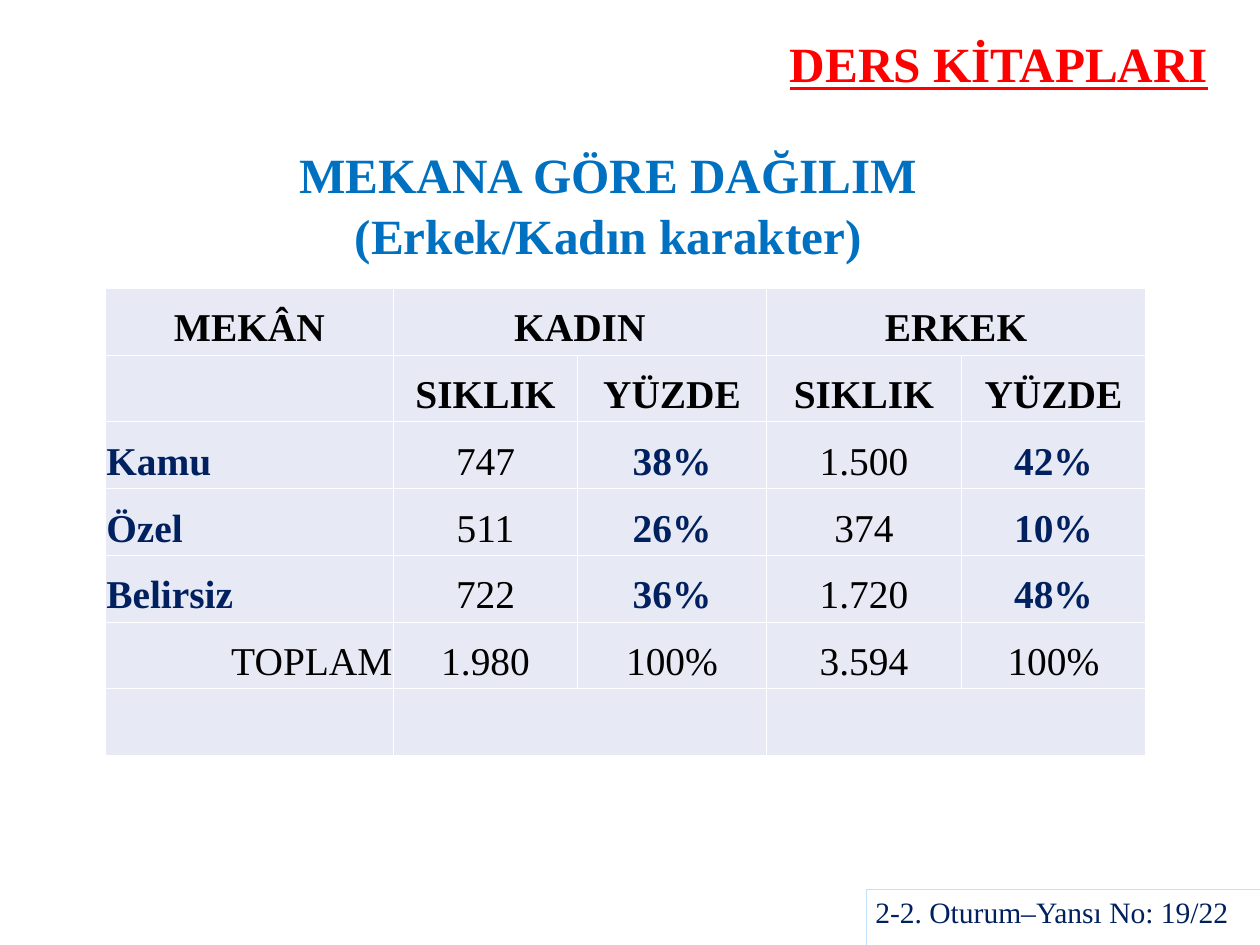
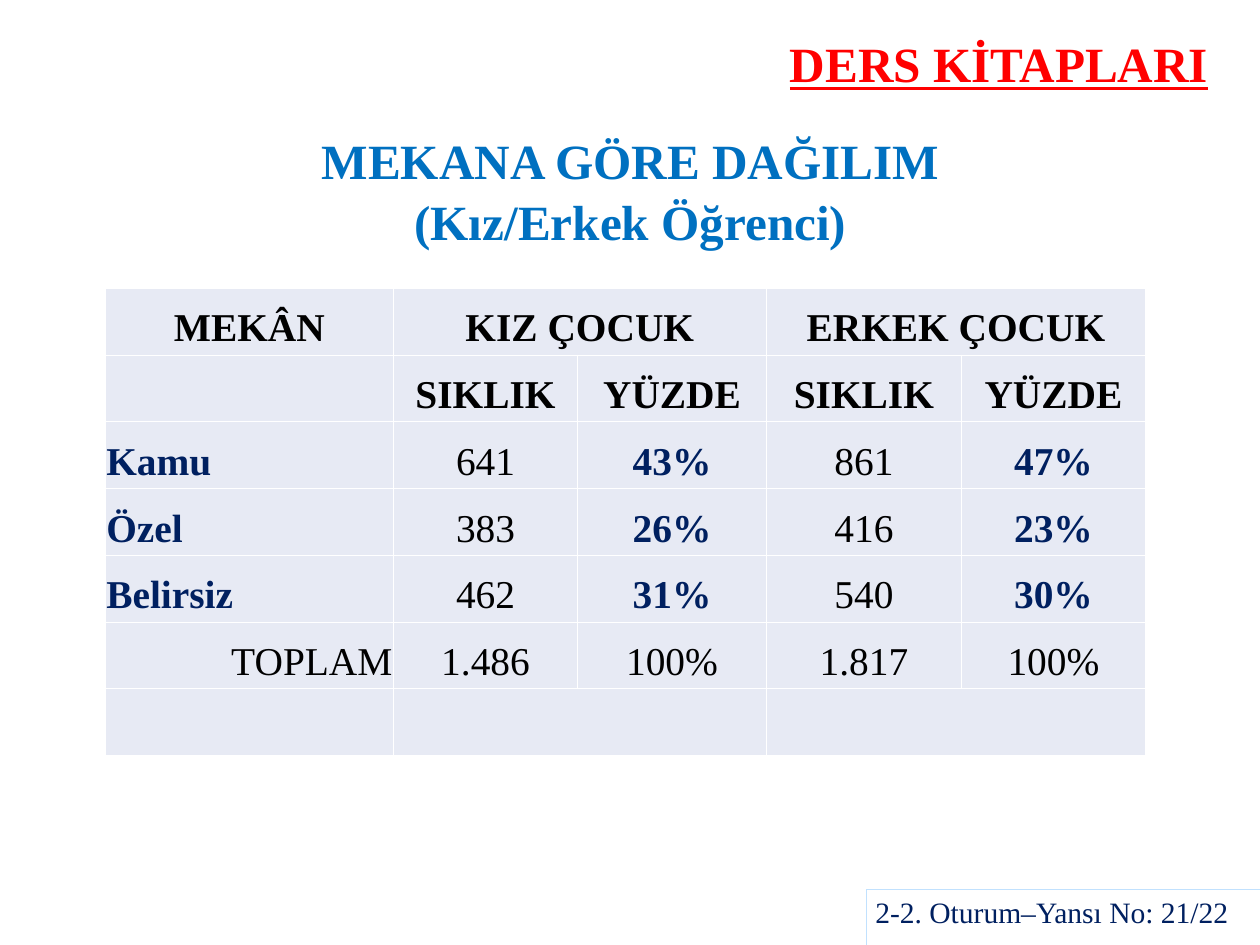
from dataclasses import dataclass

from lxml.etree import SubElement
from pptx import Presentation
from pptx.dml.color import RGBColor
from pptx.enum.shapes import MSO_SHAPE
from pptx.enum.text import MSO_ANCHOR, PP_ALIGN
from pptx.oxml.ns import qn
from pptx.slide import Slide
from pptx.table import _Cell
from pptx.text.text import TextFrame
from pptx.util import Inches, Pt

FONT = "Times New Roman"
BLACK, NAVY, RED, BLUE = "000000", "002060", "FF0000", "0070C0"
WHITE, CELL_FILL, FOOTER_LINE = "FFFFFF", "E7EAF4", "C1E1FE"
COLUMN_WIDTHS = (3.25, 2.08, 2.13, 2.2, 2.08)
TABLE_HEIGHT = 5.27
SUBHEADS = ("", "SIKLIK", "YÜZDE", "SIKLIK", "YÜZDE")


@dataclass(frozen=True)
class Box:
    left: float
    top: float
    width: float
    height: float

    def lengths(self) -> tuple[Inches, ...]:
        return tuple(Inches(v) for v in (self.left, self.top, self.width, self.height))


@dataclass(frozen=True)
class TextStyle:
    size: int
    color: str
    bold: bool = False
    underline: bool = False
    align: PP_ALIGN = PP_ALIGN.CENTER
    spacing: float = 1.0


@dataclass(frozen=True)
class Distribution:
    title: str
    title_box: Box
    groups: tuple[str, str]
    places: tuple[tuple[str, ...], ...]
    totals: tuple[str, ...]
    number: int


COURSE_STYLE = TextStyle(40, RED, bold=True, underline=True, spacing=1.04)
TITLE_STYLE = TextStyle(40, BLUE, bold=True, spacing=1.04)
FOOTER_STYLE = TextStyle(24, NAVY, align=PP_ALIGN.LEFT)
HEAD_STYLE = TextStyle(32, BLACK, bold=True)
PLACE_STYLE = TextStyle(32, NAVY, bold=True, align=PP_ALIGN.LEFT)
COUNT_STYLE = TextStyle(32, BLACK)
PERCENT_STYLE = TextStyle(32, NAVY, bold=True)
TOTAL_STYLE = TextStyle(32, BLACK, align=PP_ALIGN.RIGHT)

HEAD_ROW = (HEAD_STYLE,) * 5
PLACE_ROW = (PLACE_STYLE,) + (COUNT_STYLE, PERCENT_STYLE) * 2
TOTAL_ROW = (TOTAL_STYLE,) + (COUNT_STYLE,) * 4

DISTRIBUTIONS = (
    Distribution(
        "MEKANA GÖRE DAĞILIM (Erkek/Kadın karakter)",
        Box(3.28, 1.61, 7.17, 1.36),
        ("KADIN", "ERKEK"),
        (
            ("Kamu", "747", "38%", "1.500", "42%"),
            ("Özel", "511", "26%", "374", "10%"),
            ("Belirsiz", "722", "36%", "1.720", "48%"),
        ),
        ("TOPLAM", "1.980", "100%", "3.594", "100%"),
        19,
    ),
    Distribution(
        "MEKANA GÖRE DAĞILIM (Kız/Erkek Öğrenci)",
        Box(3.53, 1.59, 7.17, 1.09),
        ("KIZ ÇOCUK", "ERKEK ÇOCUK"),
        (
            ("Kamu", "641", "43%", "861", "47%"),
            ("Özel", "383", "26%", "416", "23%"),
            ("Belirsiz", "462", "31%", "540", "30%"),
        ),
        ("TOPLAM", "1.486", "100%", "1.817", "100%"),
        21,
    ),
)


def rgb(color: str) -> RGBColor:
    return RGBColor.from_string(color)


def write(frame: TextFrame, text: str, style: TextStyle) -> None:
    frame.word_wrap = True
    paragraph = frame.paragraphs[0]
    paragraph.text = text
    paragraph.alignment = style.align
    paragraph.line_spacing = style.spacing
    font = paragraph.font
    font.name = FONT
    font.size = Pt(style.size)
    font.bold = style.bold
    font.underline = style.underline
    font.color.rgb = rgb(style.color)


def add_heading(slide: Slide, text: str, box: Box, style: TextStyle) -> None:
    frame = slide.shapes.add_textbox(*box.lengths()).text_frame
    frame.margin_left = frame.margin_right = Inches(0)
    frame.margin_top = frame.margin_bottom = Inches(0)
    frame.vertical_anchor = MSO_ANCHOR.MIDDLE
    write(frame, text, style)


def add_footer(slide: Slide, number: int) -> None:
    footer = slide.shapes.add_shape(
        MSO_SHAPE.RECTANGLE, *Box(9.78, 10.03, 4.44, 0.9).lengths()
    )
    footer.shadow.inherit = False
    footer.fill.background()
    footer.line.color.rgb = rgb(FOOTER_LINE)
    footer.line.width = Pt(0.25)
    footer.text_frame.vertical_anchor = MSO_ANCHOR.TOP
    write(footer.text_frame, f"2-2. Oturum–Yansı No: {number}/22", FOOTER_STYLE)


def format_cell(cell: _Cell) -> None:
    properties = cell._tc.get_or_add_tcPr()
    for side in ("a:lnL", "a:lnR", "a:lnT", "a:lnB"):
        border = SubElement(properties, qn(side), w=str(Pt(0.45)))
        SubElement(SubElement(border, qn("a:solidFill")), qn("a:srgbClr"), val=WHITE)
    cell.fill.solid()
    cell.fill.fore_color.rgb = rgb(CELL_FILL)
    cell.margin_left = cell.margin_right = Inches(0.01)
    cell.margin_top = cell.margin_bottom = Inches(0.05)
    cell.vertical_anchor = MSO_ANCHOR.BOTTOM


def add_distribution_table(slide: Slide, distribution: Distribution) -> None:
    women, men = distribution.groups
    rows = (
        (("MEKÂN", women, "", men, ""), HEAD_ROW),
        (SUBHEADS, HEAD_ROW),
        *((place, PLACE_ROW) for place in distribution.places),
        (distribution.totals, TOTAL_ROW),
        (("",) * 5, TOTAL_ROW),
    )
    box = Box(1.19, 3.25, sum(COLUMN_WIDTHS), TABLE_HEIGHT)
    table = slide.shapes.add_table(len(rows), len(COLUMN_WIDTHS), *box.lengths()).table
    table.first_row = table.horz_banding = False
    for column, width in zip(table.columns, COLUMN_WIDTHS):
        column.width = Inches(width)
    for row_index, (texts, styles) in enumerate(rows):
        table.rows[row_index].height = Inches(TABLE_HEIGHT / len(rows))
        for column_index, (text, style) in enumerate(zip(texts, styles)):
            cell = table.cell(row_index, column_index)
            format_cell(cell)
            if text:
                write(cell.text_frame, text, style)
    for row_index in (0, len(rows) - 1):
        for column_index in (1, 3):
            table.cell(row_index, column_index).merge(
                table.cell(row_index, column_index + 1)
            )


def main() -> None:
    deck = Presentation()
    deck.slide_width, deck.slide_height = Inches(14.22), Inches(10.66)
    for distribution in DISTRIBUTIONS:
        slide = deck.slides.add_slide(deck.slide_layouts[6])
        add_footer(slide, distribution.number)
        add_distribution_table(slide, distribution)
        add_heading(slide, "DERS KİTAPLARI", Box(8.35, 0.25, 5.85, 0.9), COURSE_STYLE)
        add_heading(slide, distribution.title, distribution.title_box, TITLE_STYLE)
    deck.save("out.pptx")


if __name__ == "__main__":
    main()
